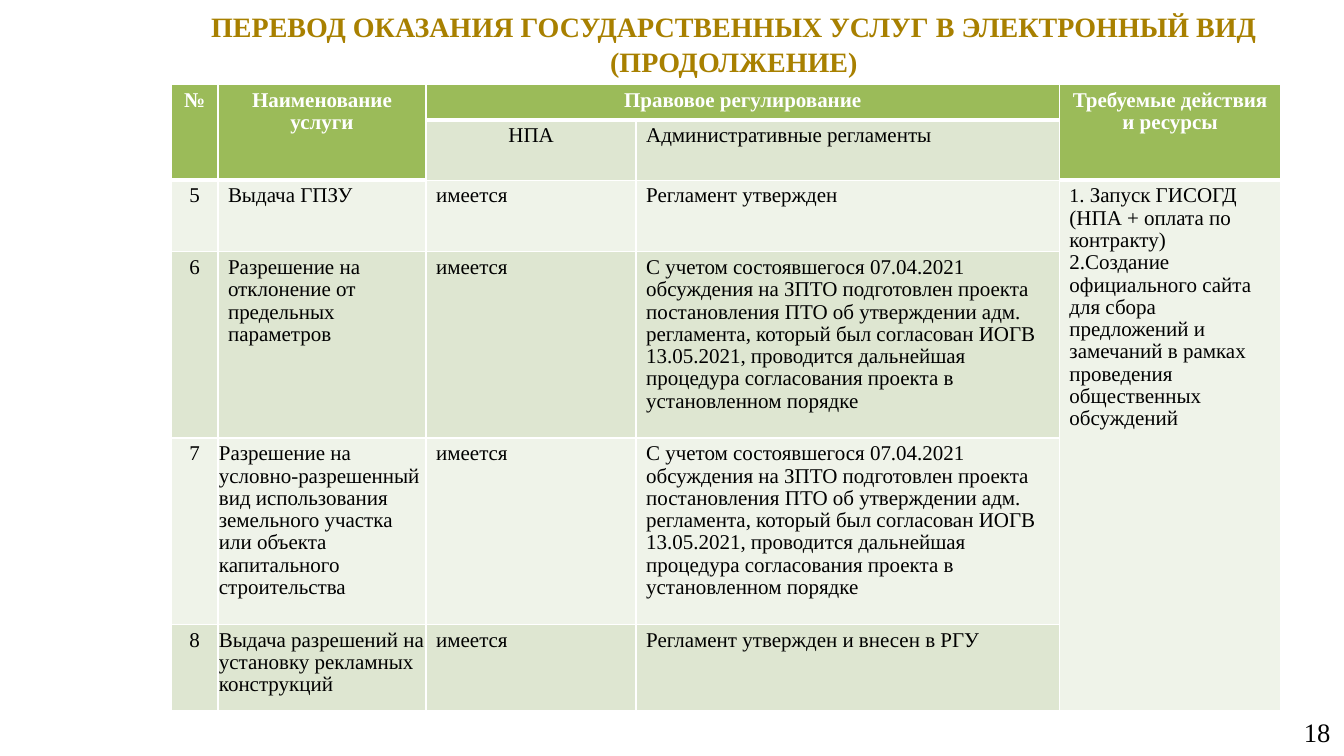
from lxml import etree
from pptx import Presentation
from pptx.dml.color import RGBColor
from pptx.enum.text import MSO_ANCHOR, PP_ALIGN
from pptx.oxml.ns import qn
from pptx.util import Pt

LEFT, CENTER, RIGHT = PP_ALIGN.LEFT, PP_ALIGN.CENTER, PP_ALIGN.RIGHT
MIDDLE = MSO_ANCHOR.MIDDLE
FONT = "Times New Roman"
COLORS = {"gold": "A88000", "header": "9BBB59", "dark": "DEE6D1",
          "light": "EFF3E9", "white": "FFFFFF", "black": "000000"}

COLS = [33.3, 148.7, 150, 302.4, 158.3]
ROWS = [25.2, 43, 51.2, 133, 133.2, 61.9]
THIN, THICK = 0.96, 3
AGREED = ("С учетом состоявшегося 07.04.2021 обсуждения на ЗПТО подготовлен "
          "проекта постановления ПТО об утверждении адм. регламента, который "
          "был согласован ИОГВ 13.05.2021, проводится дальнейшая процедура "
          "согласования проекта в установленном порядке")
ACTIONS = [
    [("1", 14), (". Запуск ГИСОГД (НПА + оплата по контракту)", 15)],
    [("2.Создание официального сайта для сбора предложений и замечаний "
      "в рамках проведения общественных обсуждений", 15)],
]
CELLS = [
    ["№", "Наименование услуги", "Правовое регулирование", None,
     "Требуемые действия и ресурсы"],
    [None, None, "НПА", "Административные регламенты", None],
    ["5", "Выдача ГПЗУ", "имеется", "Регламент утвержден", ACTIONS],
    ["6", "Разрешение на отклонение от предельных параметров", "имеется",
     AGREED, None],
    ["7", "Разрешение на условно-разрешенный вид использования земельного "
     "участка или объекта капитального строительства", "имеется", AGREED, None],
    ["8", "Выдача разрешений на установку рекламных конструкций", "имеется",
     "Регламент утвержден и внесен в РГУ", None],
]
MERGES = [((0, 0), (1, 0)), ((0, 1), (1, 1)), ((0, 2), (0, 3)),
          ((0, 4), (1, 4)), ((2, 4), (5, 4))]


def color(name):
    return RGBColor.from_string(COLORS[name])


def write(tf, paragraphs, tint, align=LEFT, bold=False, spacing=None):
    for i, runs in enumerate(paragraphs):
        p = tf.paragraphs[0] if i == 0 else tf.add_paragraph()
        p.alignment = align
        if spacing:
            p.line_spacing = spacing
        for text, size in runs:
            r = p.add_run()
            r.text = text
            for key, value in {"name": FONT, "size": Pt(size), "bold": bold}.items():
                setattr(r.font, key, value)
            r.font.color.rgb = color(tint)


def add_label(slide, box, text, size, tint, **style):
    sp = slide.shapes.add_textbox(*map(Pt, box))
    tf = sp.text_frame
    margins = {"margin_left": Pt(9.4), "margin_right": Pt(9.4),
               "margin_top": Pt(5), "margin_bottom": Pt(5)}
    for key, value in {"word_wrap": True, "vertical_anchor": MIDDLE, **margins}.items():
        setattr(tf, key, value)
    write(tf, [[(text, size)]], tint, **style)


def is_header(row, col):
    return row == 0 or (row == 1 and col in (0, 1, 4))


def set_borders(cell, row, col):
    top = THICK if row and is_header(row - 1, col) else THIN
    bottom = THICK if is_header(row, col) else THIN
    tcPr = cell._tc.get_or_add_tcPr()
    sides = {"a:lnL": THIN, "a:lnR": THIN, "a:lnT": top, "a:lnB": bottom}
    for i, (tag, width) in enumerate(sides.items()):
        ln = etree.Element(qn(tag), w=str(Pt(width)))
        fill = etree.SubElement(ln, qn("a:solidFill"))
        etree.SubElement(fill, qn("a:srgbClr"), val=COLORS["white"])
        tcPr.insert(i, ln)


def fill_cell(cell, row, col):
    header = is_header(row, col)
    body = "light" if row % 2 == 0 or col == 4 else "dark"
    cell.fill.solid()
    cell.fill.fore_color.rgb = color("header" if header else body)
    set_borders(cell, row, col)
    if row >= 4 and col == 1:
        cell.margin_left = cell.margin_right = Pt(0.7)
    content = CELLS[row][col]
    if content:
        paragraphs = [[(content, 15)]] if isinstance(content, str) else content
        centered = header or col == 0 or (row, col) == (1, 2)
        write(cell.text_frame, paragraphs, "white" if header else "black",
              CENTER if centered else LEFT, header, 0.96)


def add_services_table(slide, left, top):
    frame = slide.shapes.add_table(len(ROWS), len(COLS), Pt(left), Pt(top),
                                   Pt(sum(COLS)), Pt(sum(ROWS)))
    table = frame.table
    for column, width in zip(table.columns, COLS):
        column.width = Pt(width)
    for row, height in zip(table.rows, ROWS):
        row.height = Pt(height)
    for start, end in MERGES:
        table.cell(*start).merge(table.cell(*end))
    for row in range(len(ROWS)):
        for col in range(len(COLS)):
            fill_cell(table.cell(row, col), row, col)


def main():
    prs = Presentation()
    prs.slide_width, prs.slide_height = Pt(960), Pt(540)
    slide = prs.slides.add_slide(prs.slide_layouts[6])

    # Page number
    add_label(slide, (735.8, 509, 224, 28), "18", 19, "black", align=RIGHT)
    # Title
    add_label(slide, (112.3, -5, 823.7, 71.3),
              "ПЕРЕВОД ОКАЗАНИЯ ГОСУДАРСТВЕННЫХ УСЛУГ В ЭЛЕКТРОННЫЙ ВИД (ПРОДОЛЖЕНИЕ)",
              20, "gold", align=CENTER, bold=True, spacing=1.05)
    # Services and their regulation
    add_services_table(slide, 122.4, 60.5)

    prs.save("out.pptx")


if __name__ == "__main__":
    main()
